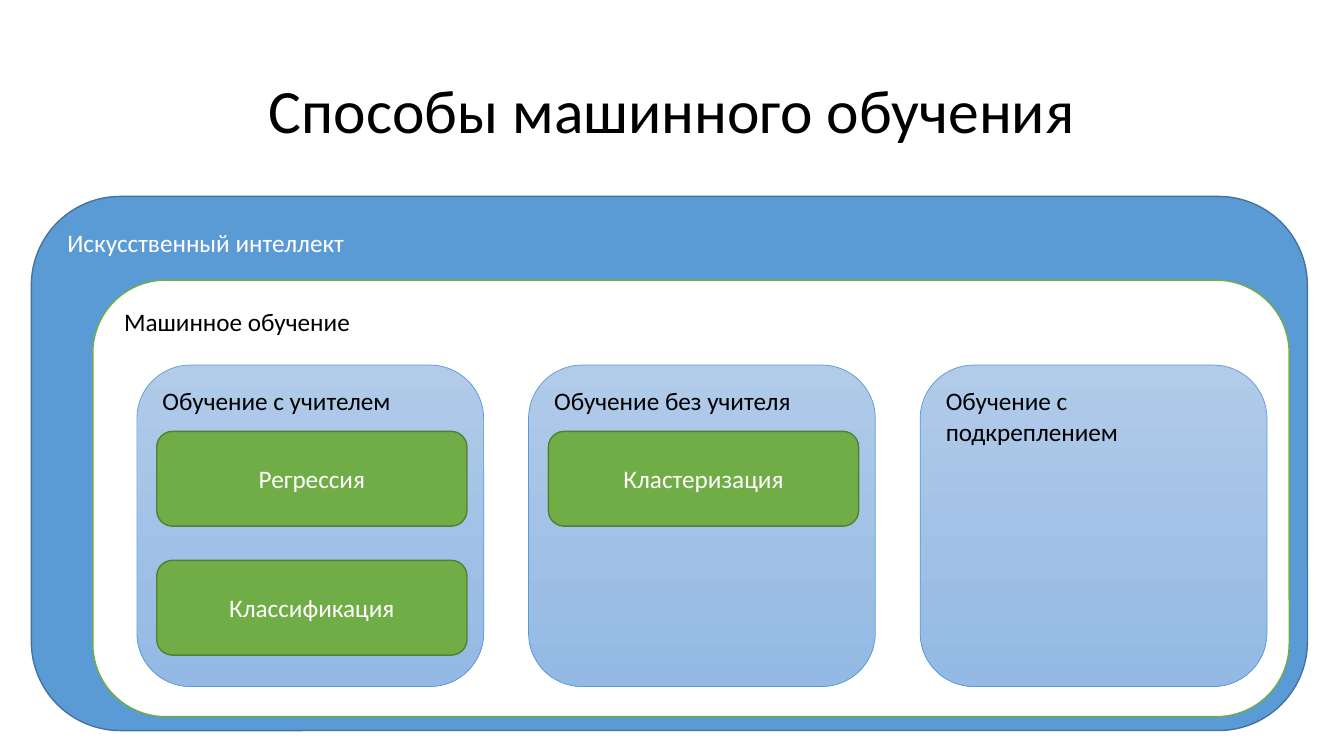
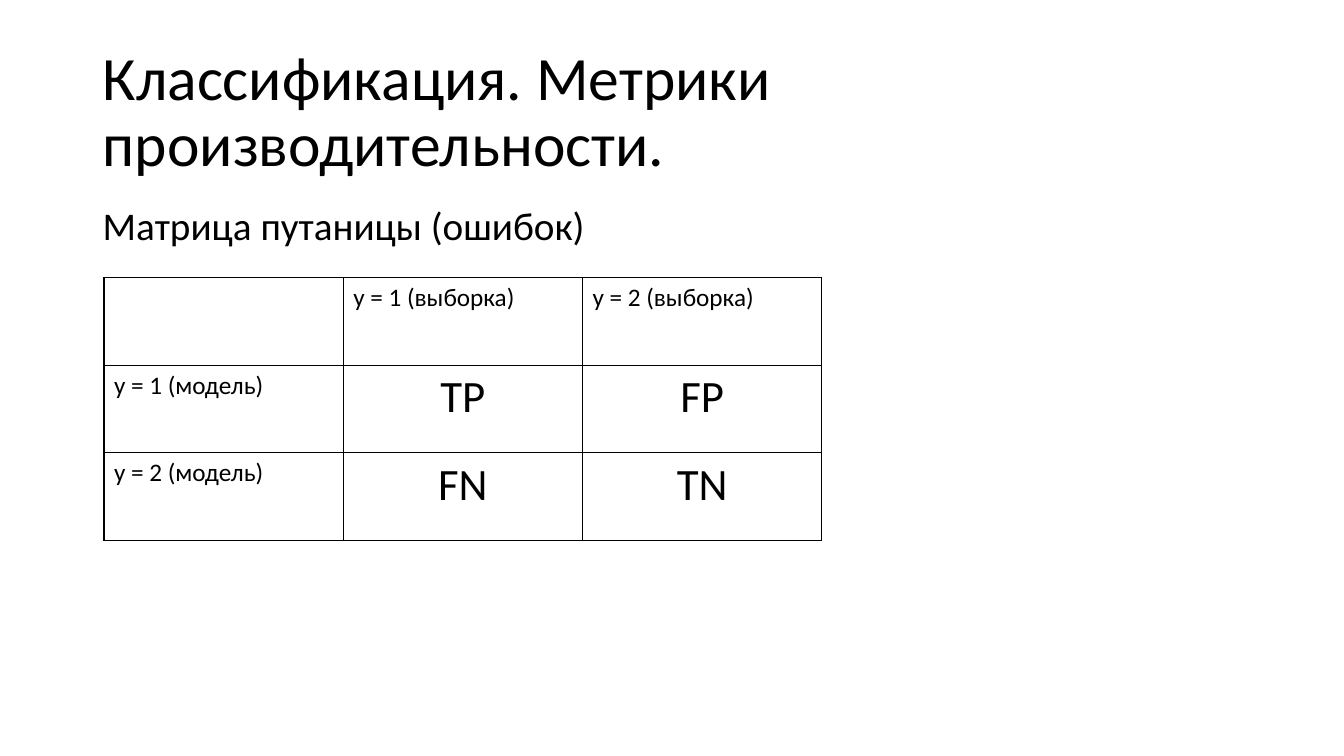
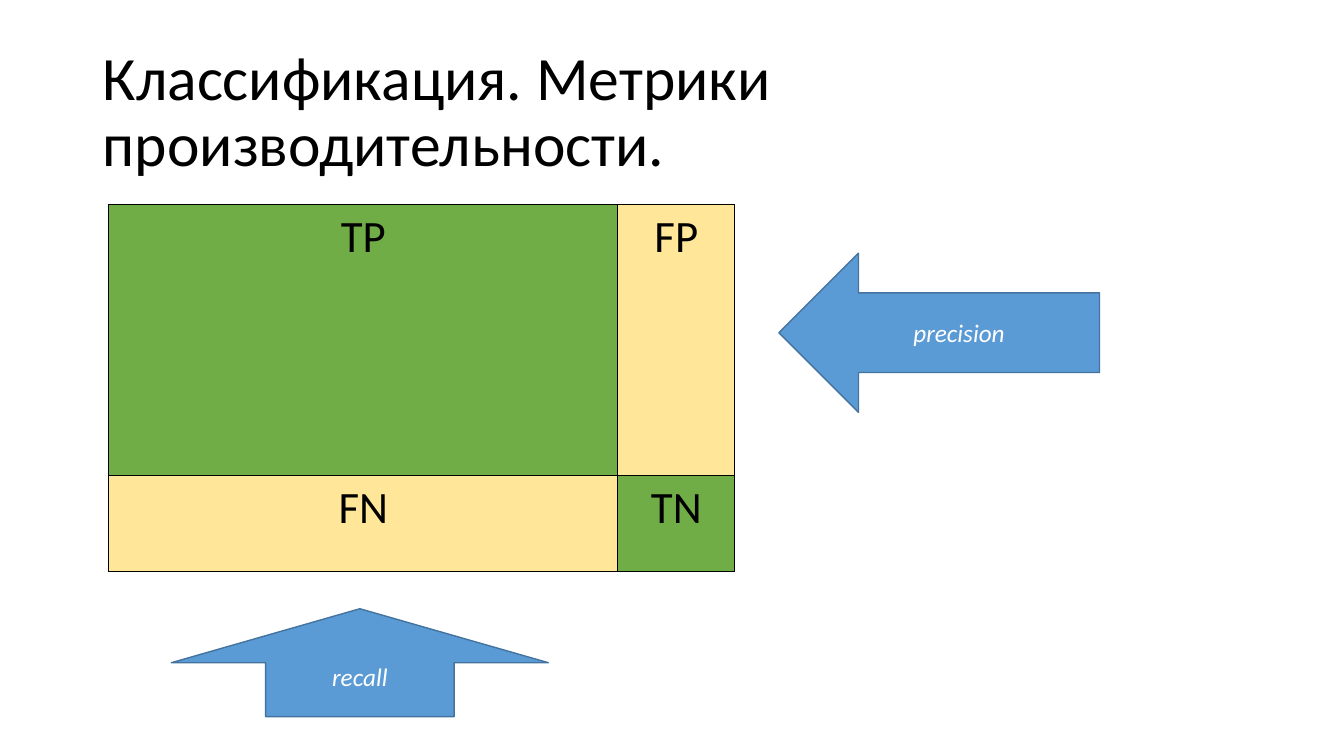
from pptx import Presentation
from pptx.dml.color import RGBColor
from pptx.enum.shapes import MSO_SHAPE
from pptx.enum.text import MSO_ANCHOR, MSO_AUTO_SIZE, PP_ALIGN
from pptx.oxml import parse_xml
from pptx.oxml.ns import nsdecls
from pptx.util import Cm, Pt

FONT = "Calibri"
BLACK, WHITE = "000000", "FFFFFF"
BLUE, NAVY = "5B9BD5", "43739E"
GREEN, MOSS = "70AD47", "538035"
CREAM = "FFE699"
PALE = ("B1CBE9", "93B9E4")

WAYS_TITLE = "Способы машинного обучения"
SCORE_TITLE = "Классификация. Метрики производительности."
MATRIX_HEAD = "Матрица путаницы (ошибок)"

FRAMES = [
    ("Искусственный интеллект", (0.79, 4.95, 32.16, 13.46), BLUE, NAVY, WHITE),
    ("Машинное обучение", (2.34, 7.06, 30.15, 11), WHITE, GREEN, BLACK),
]
WAYS = [
    ("Обучение с учителем", ["Регрессия", "Классификация"]),
    ("Обучение без учителя", ["Кластеризация"]),
    ("Обучение с подкреплением", []),
]
MATRIX = [
    ["", "y = 1 (выборка)", "y = 2 (выборка)"],
    ["y = 1 (модель)", "TP", "FP"],
    ["y = 2 (модель)", "FN", "TN"],
]
AREAS = [row[1:] for row in MATRIX[1:]]
FILLS = {"TP": GREEN, "TN": GREEN, "FP": CREAM, "FN": CREAM}
ARROWS = [
    ("precision", MSO_SHAPE.LEFT_ARROW, (19.63, 6.38, 8.08, 4.01)),
    ("recall", MSO_SHAPE.UP_ARROW, (4.32, 15.34, 9.5, 2.72)),
]


def rgb(code):
    return RGBColor.from_string(code)


def write(frame, text, size=18, color=BLACK, align=PP_ALIGN.LEFT, italic=False):
    para = frame.paragraphs[0]
    para.alignment = align
    run = para.add_run()
    run.text = text
    font = run.font
    font.name, font.size, font.italic = FONT, Pt(size), italic
    font.color.rgb = rgb(color)
    return para


def place(box):
    return [Cm(n) for n in box]


def add_slide(deck, title, align):
    slide = deck.slides.add_slide(deck.slide_layouts[5])
    head = slide.shapes.title
    head.left, head.top, head.width, head.height = place((2.34, 1.02, 29.21, 3.68))
    frame = head.text_frame
    frame.word_wrap = True
    frame.auto_size = MSO_AUTO_SIZE.NONE
    frame.vertical_anchor = MSO_ANCHOR.MIDDLE
    write(frame, title, 44, align=align).line_spacing = 0.9
    return slide


def add_block(slide, text, box, fill, line, color=WHITE, kind=MSO_SHAPE.ROUNDED_RECTANGLE,
              center=False, italic=False, weight=1):
    block = slide.shapes.add_shape(kind, *place(box))
    block.shadow.inherit = False
    if isinstance(fill, tuple):
        block.fill.gradient()
        block.fill.gradient_angle = 270
        for stop, code, spot in zip(block.fill.gradient_stops, fill, (0, 1)):
            stop.color.rgb = rgb(code)
            stop.position = spot
    else:
        block.fill.solid()
        block.fill.fore_color.rgb = rgb(fill)
    block.line.color.rgb = rgb(line)
    block.line.width = Pt(weight)
    frame = block.text_frame
    frame.word_wrap = True
    frame.vertical_anchor = MSO_ANCHOR.MIDDLE if center else MSO_ANCHOR.TOP
    write(frame, text, 18, color, PP_ALIGN.CENTER if center else PP_ALIGN.LEFT, italic)


def add_grid(slide, data, left, top, cols, rows, fills):
    shape = slide.shapes.add_table(len(rows), len(cols), *place((left, top, sum(cols), sum(rows))))
    table = shape.table
    table.first_row = table.horz_banding = False
    for col, width in zip(table.columns, cols):
        col.width = Cm(width)
    for row, height, texts in zip(table.rows, rows, data):
        row.height = Cm(height)
        for cell, text in zip(row.cells, texts):
            props = cell._tc.get_or_add_tcPr()
            for side in "LRTB":
                props.append(parse_xml(
                    f'<a:ln{side} {nsdecls("a")} w="12700"><a:solidFill>'
                    f'<a:srgbClr val="{BLACK}"/></a:solidFill></a:ln{side}>'))
            if text in fills:
                cell.fill.solid()
                cell.fill.fore_color.rgb = rgb(fills[text])
            else:
                cell.fill.background()
            if text in FILLS:
                write(cell.text_frame, text, 32, align=PP_ALIGN.CENTER)
            elif text:
                write(cell.text_frame, text)


def add_ways(deck):
    slide = add_slide(deck, WAYS_TITLE, PP_ALIGN.CENTER)
    for text, box, fill, line, color in FRAMES:
        add_block(slide, text, box, fill, line, color)
    for i, (text, tasks) in enumerate(WAYS):
        left = 3.45 + i * 9.87
        add_block(slide, text, (left, 9.2, 8.74, 8.1), PALE, BLUE, BLACK, weight=0.5)
        for j, task in enumerate(tasks):
            box = (left + 0.5, 10.87 + j * 3.25, 7.82, 2.39)
            add_block(slide, task, box, GREEN, MOSS, center=True)


def add_matrix(deck):
    slide = add_slide(deck, SCORE_TITLE, PP_ALIGN.LEFT)
    note = slide.shapes.add_textbox(*place((2.34, 5.08, 29.21, 1.5)))
    note.text_frame.word_wrap = True
    write(note.text_frame, MATRIX_HEAD, 28).line_spacing = 0.9
    add_grid(slide, MATRIX, 2.62, 6.99, [6.03] * 3, [2.21] * 3, {})


def add_areas(deck):
    slide = add_slide(deck, SCORE_TITLE, PP_ALIGN.LEFT)
    add_grid(slide, AREAS, 2.74, 5.16, [12.83, 2.95], [6.83, 2.41], FILLS)
    for text, kind, box in ARROWS:
        add_block(slide, text, box, BLUE, NAVY, kind=kind, center=True, italic=True)


def main():
    deck = Presentation()
    deck.slide_width, deck.slide_height = Cm(33.87), Cm(19.05)
    add_ways(deck)
    add_matrix(deck)
    add_areas(deck)
    deck.save("out.pptx")


if __name__ == "__main__":
    main()
